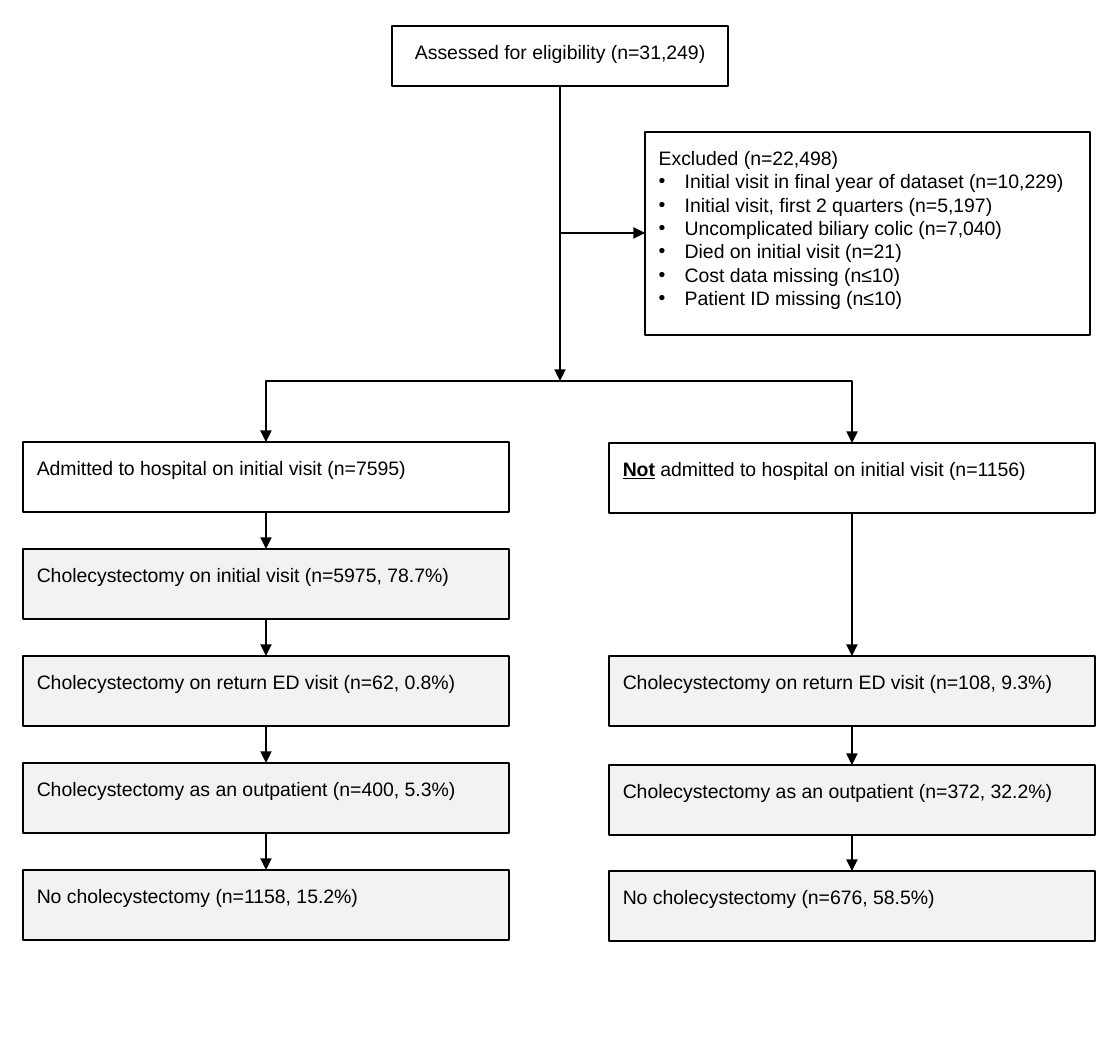
from dataclasses import dataclass

from lxml import etree
from pptx import Presentation
from pptx.dml.color import RGBColor
from pptx.enum.shapes import MSO_CONNECTOR, MSO_SHAPE
from pptx.enum.text import MSO_ANCHOR, PP_ALIGN
from pptx.oxml.ns import qn
from pptx.util import Pt

RECT = MSO_SHAPE.RECTANGLE
LINE = MSO_CONNECTOR.STRAIGHT
ELBOW = MSO_CONNECTOR.ELBOW
TOP = MSO_ANCHOR.TOP
LEFT = PP_ALIGN.LEFT
CENTER = PP_ALIGN.CENTER

SCALE = 914400 / 140
WHITE, GRAY, BLACK = "FFFFFF", "F2F2F2", "000000"
FONT = "Arial"
INSET, INDENT = 14, 26
WIDE, HIGH = 486, 70
MID, FORK = 560, 381


@dataclass
class Box:
    left: int
    top: int
    width: int
    height: int
    text: str
    fill: str = WHITE
    align: PP_ALIGN = LEFT


@dataclass
class Step:
    top: int
    text: str


@dataclass
class Arm:
    left: int
    start: int
    steps: list[Step]


INTAKE = Box(392, 26, 336, 60, "Assessed for eligibility (n=31,249)", align=CENTER)
DROPPED = Box(645, 132, 445, 203, "Excluded (n=22,498)")
REASONS = [
    "Initial visit in final year of dataset (n=10,229)",
    "Initial visit, first 2 quarters (n=5,197)",
    "Uncomplicated biliary colic (n=7,040)",
    "Died on initial visit (n=21)",
    "Cost data missing (n≤10)",
    "Patient ID missing (n≤10)",
]
ARMS = [
    Arm(23, 598, [
        Step(442, "Admitted to hospital on initial visit (n=7595)"),
        Step(549, "Cholecystectomy on initial visit (n=5975, 78.7%)"),
        Step(656, "Cholecystectomy on return ED visit (n=62, 0.8%)"),
        Step(763, "Cholecystectomy as an outpatient (n=400, 5.3%)"),
        Step(870, "No cholecystectomy (n=1158, 15.2%)"),
    ]),
    Arm(609, 522, [
        Step(443, "Not admitted to hospital on initial visit (n=1156)"),
        Step(656, "Cholecystectomy on return ED visit (n=108, 9.3%)"),
        Step(765, "Cholecystectomy as an outpatient (n=372, 32.2%)"),
        Step(871, "No cholecystectomy (n=676, 58.5%)"),
    ]),
]


def px(n: int) -> int:
    return round(n * SCALE)


def color(code: str) -> RGBColor:
    return RGBColor.from_string(code)


def style(para, align: PP_ALIGN = LEFT) -> None:
    para.alignment = align
    for run in para.runs:
        run.font.name = FONT
        run.font.size = Pt(10)
        run.font.color.rgb = color(BLACK)


def draw_box(slide, box: Box):
    shape = slide.shapes.add_shape(
        RECT, px(box.left), px(box.top), px(box.width), px(box.height))
    shape.shadow.inherit = False
    shape.fill.solid()
    shape.fill.fore_color.rgb = color(box.fill)
    shape.line.color.rgb = color(BLACK)
    shape.line.width = Pt(0.75)
    frame = shape.text_frame
    frame.word_wrap = True
    frame.vertical_anchor = TOP
    frame.margin_left = frame.margin_right = px(INSET)
    frame.margin_top = frame.margin_bottom = px(INSET)
    frame.text = box.text
    style(frame.paragraphs[0], box.align)
    return frame


def add_bullet(frame, text: str) -> None:
    para = frame.add_paragraph()
    para.text = text
    style(para)
    props = para._p.get_or_add_pPr()
    props.set("marL", str(px(INDENT)))
    props.set("indent", str(-px(INDENT)))
    etree.SubElement(props, qn("a:buFont")).set("typeface", FONT)
    etree.SubElement(props, qn("a:buChar")).set("char", "•")


def stress(para, word: str) -> None:
    rest = para.text.removeprefix(word)
    para.text = word
    para.add_run().text = rest
    style(para)
    para.runs[0].font.bold = True
    para.runs[0].font.underline = True


def draw_arrow(slide, x1: int, y1: int, x2: int, y2: int) -> None:
    bent = x1 != x2 and y1 != y2
    arrow = slide.shapes.add_connector(
        ELBOW if bent else LINE, px(x1), px(y1), px(x2), px(y2))
    arrow.line.color.rgb = color(BLACK)
    arrow.line.width = Pt(0.75)
    props = arrow._element.spPr
    if bent:
        props.find(qn("a:prstGeom")).set("prst", "bentConnector2")
    etree.SubElement(props.find(qn("a:ln")), qn("a:tailEnd")).set("type", "triangle")
    etree.SubElement(props, qn("a:effectLst"))


def draw_arm(slide, arm: Arm) -> None:
    axis = arm.left + WIDE // 2
    draw_arrow(slide, arm.start, FORK, axis, arm.steps[0].top)
    for i, step in enumerate(arm.steps):
        fill = GRAY if i else WHITE
        frame = draw_box(slide, Box(arm.left, step.top, WIDE, HIGH, step.text, fill))
        if step.text.startswith("Not "):
            stress(frame.paragraphs[0], "Not")
    for prior, step in zip(arm.steps, arm.steps[1:]):
        draw_arrow(slide, axis, prior.top + HIGH, axis, step.top)


def main() -> None:
    deck = Presentation()
    deck.slide_width, deck.slide_height = px(1120), px(1050)
    slide = deck.slides.add_slide(deck.slide_layouts[6])
    draw_box(slide, INTAKE)
    frame = draw_box(slide, DROPPED)
    for text in REASONS:
        add_bullet(frame, text)
    draw_arrow(slide, MID, INTAKE.top + INTAKE.height, MID, FORK)
    level = DROPPED.top + DROPPED.height // 2
    draw_arrow(slide, MID, level, DROPPED.left, level)
    for arm in ARMS:
        draw_arm(slide, arm)
    deck.save("out.pptx")


if __name__ == "__main__":
    main()
